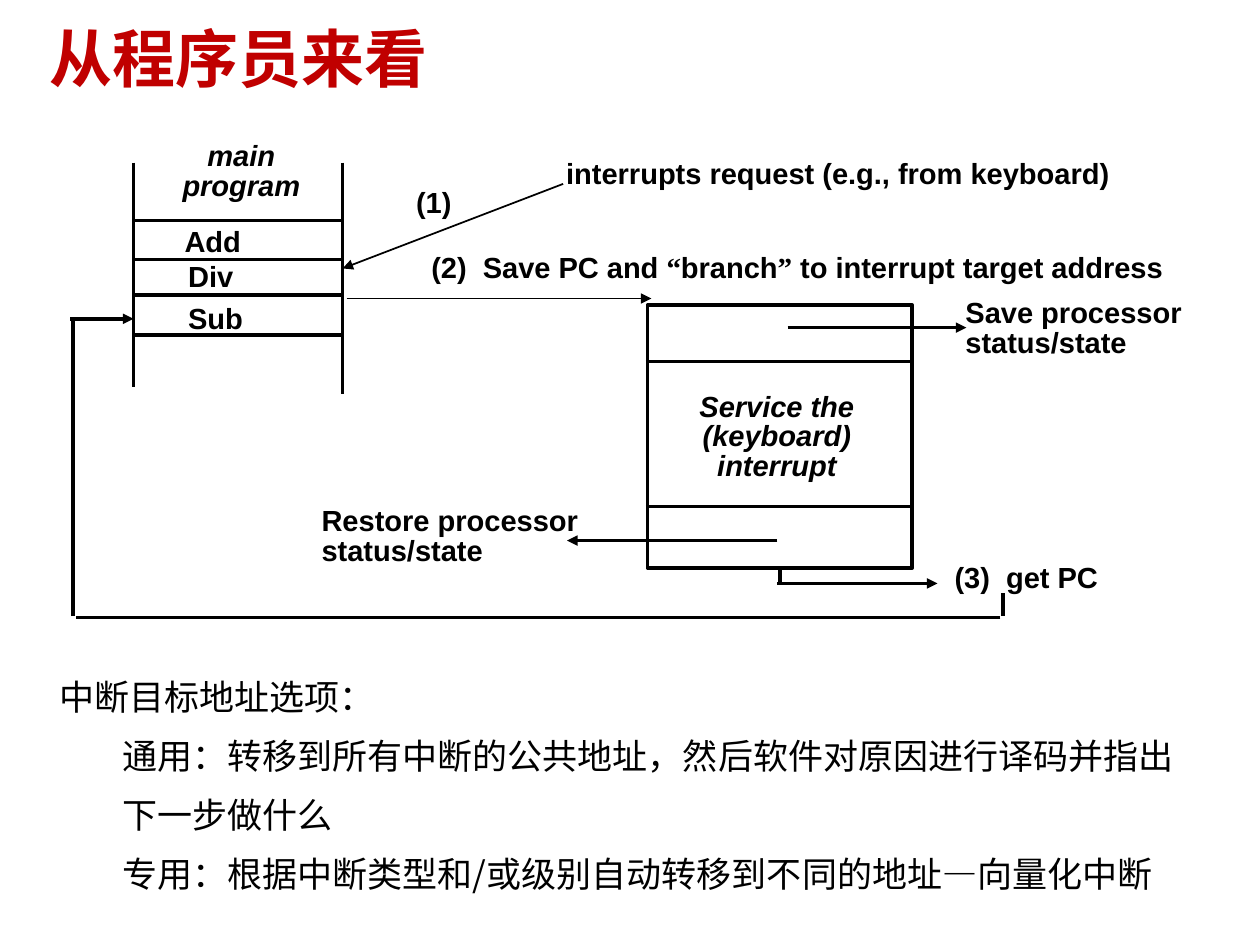
from lxml.etree import SubElement
from pptx import Presentation
from pptx.dml.color import RGBColor
from pptx.enum.shapes import MSO_CONNECTOR, MSO_SHAPE
from pptx.enum.text import MSO_ANCHOR, PP_ALIGN
from pptx.oxml.ns import qn
from pptx.util import Pt

THEME = {
    "ink": RGBColor(0, 0, 0), "title": RGBColor(0xC0, 0, 0),
    "cjk": "Noto Sans CJK SC", "label": "Arial", "quote": "Times New Roman",
    "title_size": 36, "body_size": 20, "label_size": 16.6,
    "thick": 2, "thin": 1, "label_spacing": 0.85, "body_spacing": 1.4,
}

TITLE = "从程序员来看"
BODY = [
    (0, "中断目标地址选项："),
    (1, "通用：转移到所有中断的公共地址，然后软件对原因进行译码并指出下一步做什么"),
    (1, "专用：根据中断类型和/或级别自动转移到不同的地址—向量化中断"),
]
TITLE_BOX = (28, 12.5, 325, 41)
BODY_BOX = (33.8, 376.6, 645, 138)
LEVEL_INDENT = 36

LABELS = [
    ((101, 128.4, 42, 21), ["Add"]),
    ((103, 172.8, 41, 21), ["Sub"]),
    ((103, 148.5, 35, 21), ["Div"]),
    ((547.2, 169.2, 135, 38), ["Save processor", "status/state"]),
    ((179.3, 288.2, 158, 38), ["Restore processor", "status/state"]),
    ((541, 320.6, 92, 21), ["(3)  get PC"]),
    ((319, 89.5, 323, 21), ["interrupts request (e.g., from keyboard)"]),
    ((233.3, 106.1, 30, 21), ["(1)"]),
    ((242, 143.3, 433, 21), ["(2)  Save PC and “branch” to interrupt target address"]),
]
CAPTIONS = [
    ((99.4, 79.4, 77, 38), ["main", "program"]),
    ((394.6, 222.7, 98.6, 55.4), ["Service the", "(keyboard)", "interrupt"]),
]

PROGRAM_LEFT, PROGRAM_RIGHT, PROGRAM_TOP = 76.3, 195.8, 92.9
PROGRAM_BOTTOMS = [(PROGRAM_LEFT, 221), (PROGRAM_RIGHT, 225.4)]
PROGRAM_ROWS = [126, 148.3, 168.5, 191.5]
HANDLER_BOX = (370.1, 174.2, 151.2, 150.5)
HANDLER_ROWS = [206.6, 289.4]
RETURN_PATH = [
    (445.7, 325.4, 445.7, 333.4),
    (573.1, 339.1, 573.1, 352.1),
    (571.7, 352.8, 43.2, 352.8),
    (41.8, 352.1, 41.8, 181.4),
]
THICK_ARROWS = [
    (450, 187.2, 552.2, 187.2),
    (444.2, 308.9, 324, 308.9),
    (444.2, 333.4, 535.7, 333.4),
    (40.3, 182.2, PROGRAM_LEFT, 182.2),
]
THIN_ARROWS = [
    (321.8, 105.1, PROGRAM_RIGHT, 153.4),
    (198, 170.6, 372.2, 170.6),
]


def points(values):
    return [Pt(value) for value in values]


def style(font, name, size, color, bold=False, italic=False):
    font.name, font.size = name, Pt(size)
    font.bold, font.italic = bold, italic
    font.color.rgb = color


def add_box(page, bounds, margins=(0, 0), wrap=True):
    frame = page.shapes.add_textbox(*points(bounds)).text_frame
    frame.word_wrap = wrap
    frame.margin_left = frame.margin_right = Pt(margins[0])
    frame.margin_top = frame.margin_bottom = Pt(margins[1])
    return frame


def add_paragraphs(frame, count):
    return [frame.paragraphs[0]] + [frame.add_paragraph() for _ in range(count - 1)]


def add_cjk(para, text, size, color, bold=False):
    span = para.add_run()
    span.text = text
    style(span.font, THEME["cjk"], size, color, bold)
    SubElement(span.font._element, qn("a:ea"), typeface=THEME["cjk"])


def add_title(page):
    frame = add_box(page, TITLE_BOX)
    frame.vertical_anchor = MSO_ANCHOR.MIDDLE
    add_cjk(frame.paragraphs[0], TITLE, THEME["title_size"], THEME["title"], True)


def add_body(page):
    frame = add_box(page, BODY_BOX)
    for para, (level, text) in zip(add_paragraphs(frame, len(BODY)), BODY):
        para.level = level
        para.line_spacing = THEME["body_spacing"]
        props = para._p.get_or_add_pPr()
        props.set("marL", str(Pt(LEVEL_INDENT * level)))
        props.set("indent", "0")
        add_cjk(para, text, THEME["body_size"], THEME["ink"])


def split_quotes(text):
    return text.replace("“", "\n“\n").replace("”", "\n”\n").split("\n")


def add_label(page, bounds, lines, caption=False):
    frame = add_box(page, bounds, (4.5, 2.2), wrap=False)
    for para, line in zip(add_paragraphs(frame, len(lines)), lines):
        para.line_spacing = THEME["label_spacing"]
        para.alignment = PP_ALIGN.CENTER if caption else PP_ALIGN.LEFT
        style(para.font, THEME["label"], THEME["label_size"], THEME["ink"], True, caption)
        for piece in split_quotes(line):
            span = para.add_run()
            span.text = piece
            name = THEME["quote"] if piece in ("“", "”") else THEME["label"]
            style(span.font, name, THEME["label_size"], THEME["ink"], True, caption)


def add_line(page, ends, width=THEME["thick"], arrow=False):
    line = page.shapes.add_connector(MSO_CONNECTOR.STRAIGHT, *points(ends))
    line.line.color.rgb = THEME["ink"]
    line.line.width = Pt(width)
    if arrow:
        SubElement(line.line._get_or_add_ln(), qn("a:tailEnd"), type="triangle")
    SubElement(line._element.spPr, qn("a:effectLst"))


def add_handler(page):
    handler = page.shapes.add_shape(MSO_SHAPE.RECTANGLE, *points(HANDLER_BOX))
    handler.shadow.inherit = False
    handler.fill.background()
    handler.line.color.rgb = THEME["ink"]
    handler.line.width = Pt(THEME["thick"])
    left, _, width, _ = HANDLER_BOX
    for y in HANDLER_ROWS:
        add_line(page, (left - 1, y, left + width, y))


def main():
    deck = Presentation()
    deck.slide_width, deck.slide_height = Pt(720), Pt(540)
    page = deck.slides.add_slide(deck.slide_layouts[6])
    add_title(page)
    add_body(page)
    for x, bottom in PROGRAM_BOTTOMS:
        add_line(page, (x, PROGRAM_TOP, x, bottom))
    for y in PROGRAM_ROWS:
        add_line(page, (PROGRAM_LEFT, y, PROGRAM_RIGHT, y))
    add_handler(page)
    for ends in RETURN_PATH:
        add_line(page, ends)
    for ends in THICK_ARROWS:
        add_line(page, ends, arrow=True)
    for ends in THIN_ARROWS:
        add_line(page, ends, THEME["thin"], arrow=True)
    for bounds, lines in LABELS:
        add_label(page, bounds, lines)
    for bounds, lines in CAPTIONS:
        add_label(page, bounds, lines, caption=True)
    deck.save("out.pptx")


if __name__ == "__main__":
    main()
